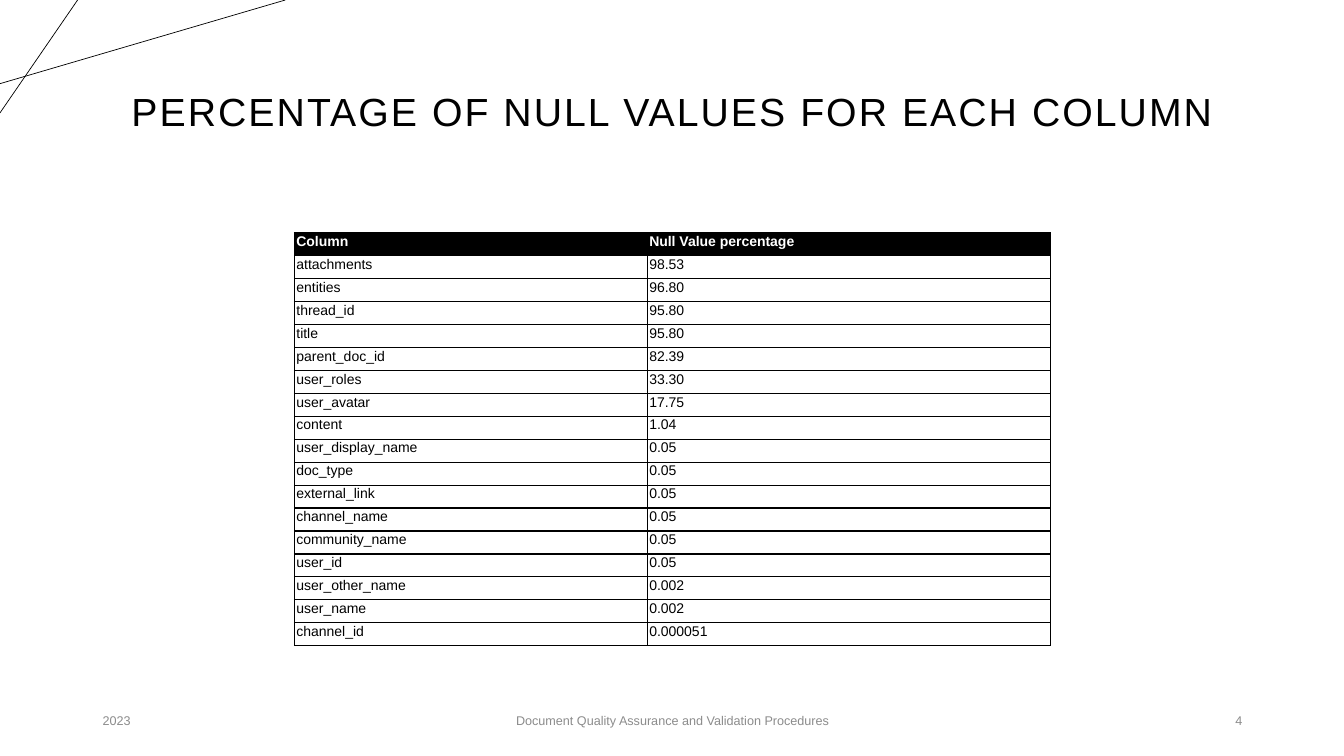
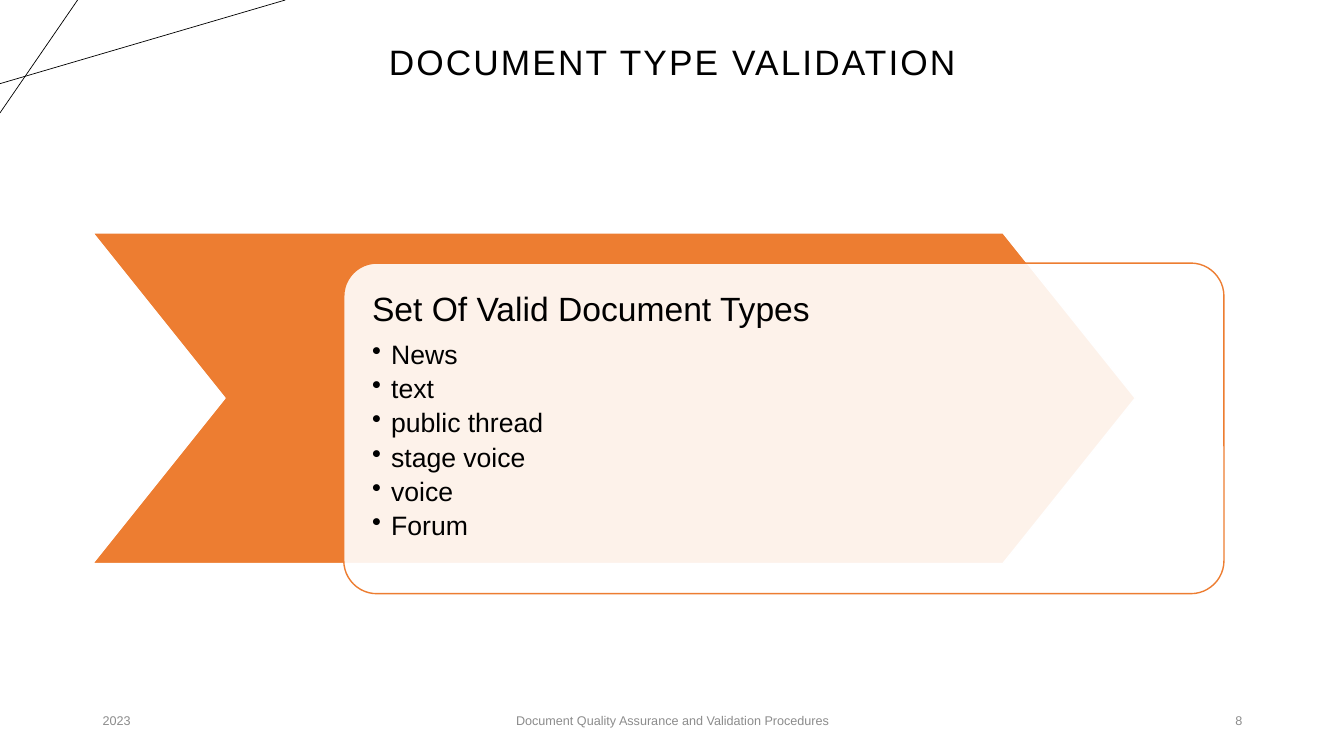
"""Build two slides on null values and valid document types."""
from dataclasses import dataclass

from lxml import etree
from pptx import Presentation
from pptx import slide as sl
from pptx import util as u
from pptx.dml.color import RGBColor
from pptx.enum import shapes, text
from pptx.oxml import ns

FONT = "Arial"
BLACK = RGBColor(0x00, 0x00, 0x00)
WHITE = RGBColor(0xFF, 0xFF, 0xFF)
GRAY = RGBColor(0x8C, 0x8C, 0x8C)
ORANGE = RGBColor(0xED, 0x7D, 0x31)

LEFT, CENTER, RIGHT = text.PP_ALIGN.LEFT, text.PP_ALIGN.CENTER, text.PP_ALIGN.RIGHT
TOP, MIDDLE = text.MSO_ANCHOR.TOP, text.MSO_ANCHOR.MIDDLE
FOOTER = "Document Quality Assurance and Validation Procedures"
DOCUMENT_TYPES = ["News", "text", "public thread", "stage voice", "voice", "Forum"]
NULL_VALUES = [
    ("Column", "Null Value percentage"),
    ("attachments", "98.53"),
    ("entities", "96.80"),
    ("thread_id", "95.80"),
    ("title", "95.80"),
    ("parent_doc_id", "82.39"),
    ("user_roles", "33.30"),
    ("user_avatar", "17.75"),
    ("content", "1.04"),
    ("user_display_name", "0.05"),
    ("doc_type", "0.05"),
    ("external_link", "0.05"),
    ("channel_name", "0.05"),
    ("community_name", "0.05"),
    ("user_id", "0.05"),
    ("user_other_name", "0.002"),
    ("user_name", "0.002"),
    ("channel_id", "0.000051"),
]


@dataclass(frozen=True)
class Area:
    """Position and size in inches."""
    left: float
    top: float
    width: float
    height: float

    def lengths(self) -> list[u.Length]:
        """Return the four values as lengths."""
        return [u.Inches(v) for v in (self.left, self.top, self.width, self.height)]


@dataclass(frozen=True)
class Line:
    """Straight line between two points in inches."""
    x1: float
    y1: float
    x2: float
    y2: float


@dataclass(frozen=True)
class Footer:
    """Footer field along the bottom edge."""
    words: str
    left: float
    width: float
    align: text.PP_ALIGN


@dataclass(frozen=True)
class Panel:
    """Filled preset shape with one adjustment."""
    kind: shapes.MSO_SHAPE
    area: Area
    adjustment: float
    fill: RGBColor
    line: RGBColor
    opacity: int


CORNER_LINES = [Line(0, 0.83, 2.83, 0), Line(0.77, 0, 0, 1.12)]
PANELS = [
    Panel(shapes.MSO_SHAPE.CHEVRON, Area(0.92, 2.31, 10.34, 3.28), 0.4, ORANGE, WHITE, 100),
    Panel(shapes.MSO_SHAPE.ROUNDED_RECTANGLE, Area(3.41, 2.61, 8.73, 3.28), 0.1,
          WHITE, ORANGE, 90),
]


def add_span(para, words: str, size: float, color: RGBColor, bold: bool = False):
    """Add one styled run to a paragraph."""
    span = para.add_run()
    span.text = words
    span.font.name = FONT
    span.font.size = u.Pt(size)
    span.font.bold = bold
    span.font.color.rgb = color
    return span


def add_box(page: sl.Slide, area: Area, anchor: text.MSO_ANCHOR):
    """Add a wrapping text box and return its text frame."""
    frame = page.shapes.add_textbox(*area.lengths()).text_frame
    frame.word_wrap = True
    frame.vertical_anchor = anchor
    return frame


def add_title(page: sl.Slide, words: str, size: float, height: float,
              anchor: text.MSO_ANCHOR) -> None:
    """Add the centred, letter-spaced title."""
    para = add_box(page, Area(0.92, 0.4, 11.5, height), anchor).paragraphs[0]
    para.alignment = CENTER
    para.line_spacing = 0.9
    span = add_span(para, words, size, BLACK)
    span._r.get_or_add_rPr().set("spc", "150")


def add_frame(page: sl.Slide, number: int) -> None:
    """Add the corner lines and footer that every slide shares."""
    for line in CORNER_LINES:
        ends = [u.Inches(v) for v in (line.x1, line.y1, line.x2, line.y2)]
        connector = page.shapes.add_connector(shapes.MSO_CONNECTOR.STRAIGHT, *ends)
        connector.line.color.rgb = BLACK
        connector.line.width = u.Pt(0.5)
        etree.SubElement(connector._element.spPr, ns.qn("a:effectLst"))
    for footer in (Footer("2023", 0.92, 3, LEFT), Footer(FOOTER, 4.42, 4.5, CENTER),
                   Footer(str(number), 9.42, 3, RIGHT)):
        area = Area(footer.left, 6.95, footer.width, 0.4)
        para = add_box(page, area, MIDDLE).paragraphs[0]
        para.alignment = footer.align
        para.space_after = u.Pt(6)
        add_span(para, footer.words, 9, GRAY)


def add_borders(cell) -> None:
    """Draw a black border on all sides of a table cell."""
    properties = cell._tc.get_or_add_tcPr()
    for side in ("lnL", "lnR", "lnT", "lnB"):
        border = etree.SubElement(properties, ns.qn(f"a:{side}"), w=str(u.Pt(1)))
        fill = etree.SubElement(border, ns.qn("a:solidFill"))
        etree.SubElement(fill, ns.qn("a:srgbClr"), val=str(BLACK))


def add_null_table(page: sl.Slide) -> None:
    """Add the table of null percentages."""
    area = Area(2.92, 2.31, 7.5, 4.1)
    table = page.shapes.add_table(len(NULL_VALUES), 2, *area.lengths()).table
    table.horz_banding = False
    for column, width in zip(table.columns, (3.5, 4)):
        column.width = u.Inches(width)
    for row, values in enumerate(NULL_VALUES):
        header = row == 0
        for col, value in enumerate(values):
            cell = table.cell(row, col)
            cell.margin_left = cell.margin_right = u.Inches(0.02)
            cell.margin_top = cell.margin_bottom = u.Inches(0.01)
            add_borders(cell)
            if header:
                cell.fill.solid()
                cell.fill.fore_color.rgb = BLACK
            else:
                cell.fill.background()
            para = cell.text_frame.paragraphs[0]
            add_span(para, value, 10, WHITE if header else BLACK, header)


def add_panel(page: sl.Slide, panel: Panel) -> None:
    """Add one preset shape."""
    shape = page.shapes.add_shape(panel.kind, *panel.area.lengths())
    shape.shadow.inherit = False
    shape.adjustments[0] = panel.adjustment
    shape.fill.solid()
    shape.fill.fore_color.rgb = panel.fill
    shape.line.color.rgb = panel.line
    shape.line.width = u.Pt(1)
    if panel.opacity < 100:
        color = shape._element.spPr.find(f"{ns.qn('a:solidFill')}/{ns.qn('a:srgbClr')}")
        etree.SubElement(color, ns.qn("a:alpha"), val=str(panel.opacity * 1000))


def add_type_list(page: sl.Slide) -> None:
    """Add the heading and bullets of valid document types."""
    frame = add_box(page, Area(3.5, 2.71, 8.54, 3.08), TOP)
    inset = u.Inches(0.19)
    frame.margin_left = frame.margin_right = inset
    frame.margin_top = frame.margin_bottom = inset
    heading = frame.paragraphs[0]
    heading.line_spacing = 0.9
    heading.space_after = u.Pt(9)
    add_span(heading, "Set Of Valid Document Types", 24, BLACK)
    for name in DOCUMENT_TYPES:
        para = frame.add_paragraph()
        para.level = 1
        properties = para._p.get_or_add_pPr()
        properties.set("marL", str(inset))
        properties.set("indent", str(-inset))
        etree.SubElement(properties, ns.qn("a:buChar"), char="•")
        para.line_spacing = 0.9
        para.space_after = u.Pt(4)
        add_span(para, name, 19, BLACK)


def main() -> None:
    """Build and save the deck."""
    deck = Presentation()
    deck.slide_width, deck.slide_height = u.Inches(13.33), u.Inches(7.5)
    blank = deck.slide_layouts[6]

    page = deck.slides.add_slide(blank)
    add_frame(page, 4)
    add_title(page, "PERCENTAGE OF NULL VALUES FOR EACH COLUMN", 28, 1.45, MIDDLE)
    add_null_table(page)

    page = deck.slides.add_slide(blank)
    add_frame(page, 8)
    add_title(page, "DOCUMENT TYPE VALIDATION", 25.2, 0.85, TOP)
    for panel in PANELS:
        add_panel(page, panel)
    add_type_list(page)

    deck.save("out.pptx")


if __name__ == "__main__":
    main()
